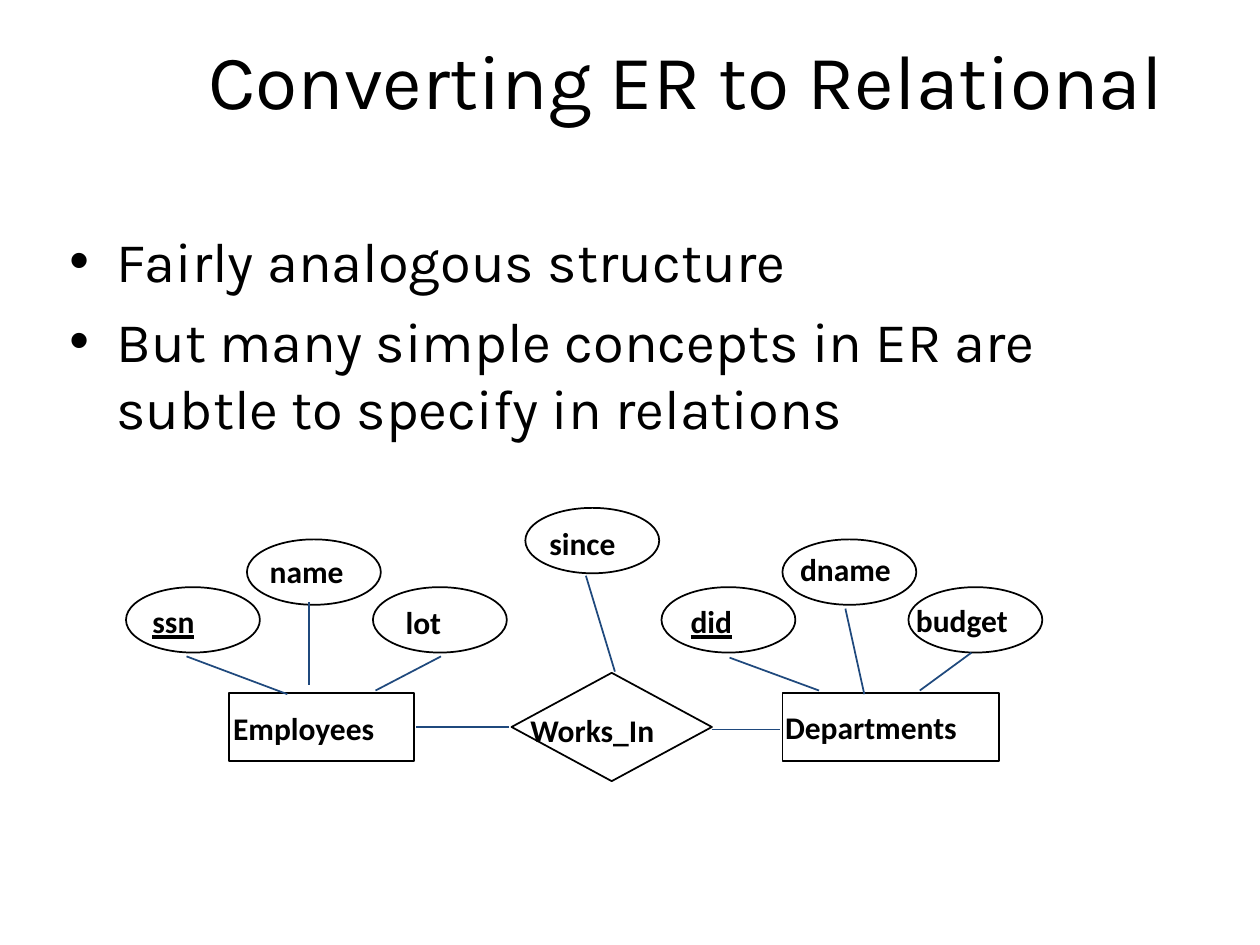
from dataclasses import dataclass

from lxml.etree import SubElement
from pptx import Presentation
from pptx.dml.color import RGBColor
from pptx.enum.shapes import MSO_CONNECTOR, MSO_SHAPE
from pptx.enum.text import MSO_ANCHOR, MSO_AUTO_SIZE, PP_ALIGN
from pptx.oxml.ns import qn
from pptx.util import Pt


@dataclass(frozen=True)
class Theme:
    ink: RGBColor = RGBColor(0, 0, 0)
    link: RGBColor = RGBColor(0x1F, 0x49, 0x7D)
    text_font: str = "Karla"
    label_font: str = "Calibri"
    title_size: float = 44
    body_size: float = 32
    label_size: float = 18
    line_width: float = 1
    inset: float = 3.6


@dataclass(frozen=True)
class Label:
    text: str
    left: float
    top: float
    width: float
    key: bool = False  # key attributes are underlined


@dataclass(frozen=True)
class Node:
    kind: MSO_SHAPE
    left: float
    top: float
    width: float
    height: float
    label: Label


@dataclass(frozen=True)
class Link:
    x1: float
    y1: float
    x2: float
    y2: float


THEME = Theme()
LABEL_HEIGHT = 31
ENTITY_TOP, ENTITY_HEIGHT = 396, 38.9
LOW_ROW, HIGH_ROW, TOP_ROW = 335.5, 308.2, 290.2
EMPLOYEES_X, DEPARTMENTS_X = 72, 378  # left edge of each entity group
MIDDLE_STEP, RIGHT_STEP = 69.1, 141.1


def attribute(left: float, top: float, label: Label) -> Node:
    return Node(MSO_SHAPE.OVAL, left, top, 76.5, 37.4, label)


def entity(left: float, width: float, label: Label) -> Node:
    return Node(MSO_SHAPE.RECTANGLE, left, ENTITY_TOP, width, ENTITY_HEIGHT, label)


NODES = [
    # Employees group
    attribute(EMPLOYEES_X, LOW_ROW, Label("ssn", 83.5, 340.6, 35.3, True)),
    attribute(EMPLOYEES_X + MIDDLE_STEP, HIGH_ROW, Label("name", 150.5, 311.8, 51.1)),
    attribute(EMPLOYEES_X + RIGHT_STEP, LOW_ROW, Label("lot", 228.2, 341.3, 28.8)),
    entity(131, 105.8, Label("Employees", 129.6, 401.8, 95)),
    # Works_In relationship
    Node(MSO_SHAPE.DIAMOND, 292.3, 384.5, 114.5, 61.9,
         Label("Works_In", 299.5, 402.5, 82.8)),
    attribute(300.2, TOP_ROW, Label("since", 310.3, 295.9, 51.1)),
    # Departments group
    attribute(DEPARTMENTS_X, LOW_ROW, Label("did", 391, 340.6, 31.7, True)),
    attribute(DEPARTMENTS_X + MIDDLE_STEP, HIGH_ROW, Label("dname", 453.6, 311, 61.2)),
    attribute(DEPARTMENTS_X + RIGHT_STEP, LOW_ROW, Label("budget", 519.8, 339.8, 64.1)),
    entity(447.1, 123.8, Label("Departments", 445, 401, 113.8)),
]

LINKS = [
    # Attributes of Employees
    Link(106.6, 375.1, 164.2, 396.7),
    Link(176.4, 344.2, 176.4, 391.7),
    Link(252, 375.1, 214.6, 394.6),
    # Works_In to its entities and its attribute
    Link(290.9, 415.4, 237.6, 415.4),
    Link(406.8, 416.9, 445.7, 416.9),
    Link(334.8, 329, 351.4, 383.8),
    # Attributes of Departments
    Link(416.9, 375.8, 468, 394.6),
    Link(483.1, 347.8, 493.9, 396.7),
    Link(555.1, 373, 525.6, 394.6),
]


def set_frame(tf, anchor=MSO_ANCHOR.TOP) -> None:
    tf.word_wrap = True
    tf.auto_size = MSO_AUTO_SIZE.NONE
    tf.vertical_anchor = anchor
    tf.margin_left = tf.margin_right = Pt(THEME.inset)
    tf.margin_top = tf.margin_bottom = Pt(THEME.inset)


def style_runs(p, name: str, size: float, bold=False, underline=False) -> None:
    for r in p.runs:
        r.font.name = name
        r.font.size = Pt(size)
        r.font.bold = bold
        r.font.underline = underline
        r.font.color.rgb = THEME.ink


def add_title(s, text: str) -> None:
    sp = s.shapes.title
    sp.left, sp.top, sp.width, sp.height = Pt(107.3), Pt(0), Pt(580.3), Pt(90)
    tf = sp.text_frame
    tf.text = text
    set_frame(tf, MSO_ANCHOR.MIDDLE)
    p = tf.paragraphs[0]
    p.alignment = PP_ALIGN.CENTER
    style_runs(p, THEME.text_font, THEME.title_size)


def add_bullets(s, items: list[str]) -> None:
    tf = s.shapes.add_textbox(Pt(36), Pt(126), Pt(648), Pt(356.4)).text_frame
    set_frame(tf)
    tf.text = "\n".join(items)
    for i, p in enumerate(tf.paragraphs):
        pPr = p._p.get_or_add_pPr()
        pPr.set("marL", str(Pt(27)))
        pPr.set("indent", str(Pt(-27)))
        p.space_before = Pt(7 if i else 0)
        SubElement(pPr, qn("a:buFont")).set("typeface", "Arial")
        SubElement(pPr, qn("a:buChar")).set("char", "•")
        style_runs(p, THEME.text_font, THEME.body_size)


def add_label(s, label: Label) -> None:
    tf = s.shapes.add_textbox(Pt(label.left), Pt(label.top),
                              Pt(label.width), Pt(LABEL_HEIGHT)).text_frame
    set_frame(tf)
    tf.text = label.text
    style_runs(tf.paragraphs[0], THEME.label_font, THEME.label_size, True, label.key)


def add_node(s, node: Node) -> None:
    sp = s.shapes.add_shape(node.kind, Pt(node.left), Pt(node.top),
                            Pt(node.width), Pt(node.height))
    sp.shadow.inherit = False
    sp.fill.background()
    sp.line.color.rgb = THEME.ink
    sp.line.width = Pt(THEME.line_width)
    add_label(s, node.label)


def add_link(s, link: Link) -> None:
    line = s.shapes.add_connector(MSO_CONNECTOR.STRAIGHT, Pt(link.x1), Pt(link.y1),
                                  Pt(link.x2), Pt(link.y2))
    line.line.color.rgb = THEME.link
    line.line.width = Pt(THEME.line_width)
    SubElement(line._element.spPr, qn("a:effectLst"))


def main() -> None:
    prs = Presentation()
    prs.slide_width, prs.slide_height = Pt(720), Pt(540)
    s = prs.slides.add_slide(prs.slide_layouts[5])

    # Heading and points
    add_title(s, "Converting ER to Relational ")
    add_bullets(s, [
        "Fairly analogous structure",
        "But many simple concepts in ER are subtle to specify in relations",
    ])

    # Entity-relationship diagram
    for node in NODES:
        add_node(s, node)
    for link in LINKS:
        add_link(s, link)

    prs.save("out.pptx")


if __name__ == "__main__":
    main()
